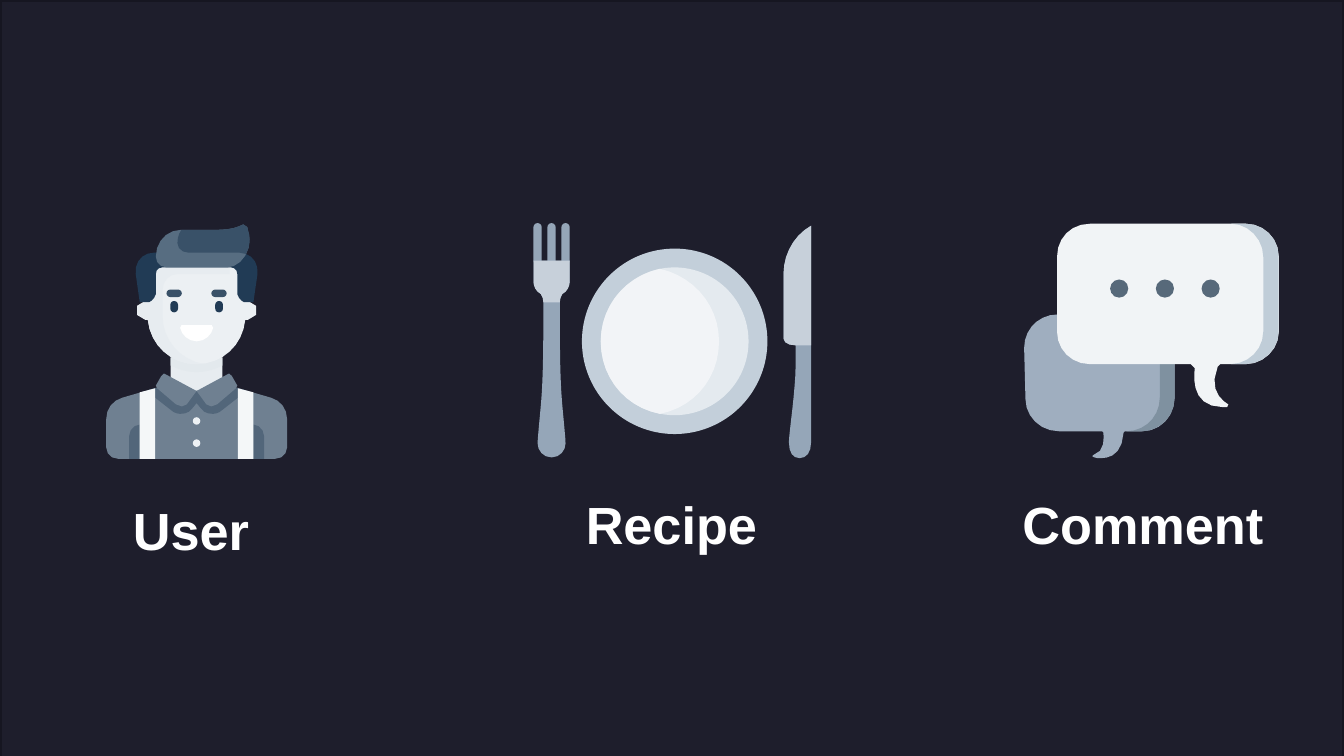
from pptx import Presentation
from pptx.dml.color import RGBColor
from pptx.enum.shapes import MSO_SHAPE as SHAPE
from pptx.enum.text import MSO_ANCHOR as ANCHOR
from pptx.util import Cm, Pt

UNIT = 0.0254
USER_AXIS, FORK_AXIS = 146.3, 410.4


def rgb(color):
    return RGBColor.from_string(color)


def u(value):
    return Cm(value * UNIT)


def add_text(tf, text, size=28, color="FFFFFF", bold=True, font="Arial"):
    r = tf.paragraphs[0].add_run()
    r.text = text
    r.font.size = Pt(size)
    r.font.bold = bold
    r.font.name = font
    r.font.color.rgb = rgb(color)


def curve(path):
    pts = []
    for part in path.split():
        n = [float(v) for v in part[1:].split(",")]
        if part[0] == "C":
            nodes = [pts[-1], n[0:2], n[2:4], n[4:6]]
            span = sum(abs(a - b) for a, b in zip(nodes[0], nodes[3]))
            steps = 1 if span < 3 else 2 + int(span // 10)
            for i in range(1, steps + 1):
                t = i / steps
                w = [(1 - t) ** 3, 3 * t * (1 - t) ** 2, 3 * t * t * (1 - t), t ** 3]
                pts.append([sum(a * q[k] for a, q in zip(w, nodes)) for k in (0, 1)])
        else:
            pts.append(n)
    return pts


def flip(pts, axis):
    return [[2 * axis - x, y] for x, y in reversed(pts)]


class Slide:
    def __init__(self, prs):
        self.s = prs.slides.add_slide(prs.slide_layouts[6])

    def paint(self, sp, color):
        sp.shadow.inherit = False
        sp.fill.solid()
        sp.fill.fore_color.rgb = rgb(color)
        sp.line.fill.background()
        return sp

    def preset(self, kind, x, y, w, h, color, radius=None):
        sp = self.s.shapes.add_shape(kind, u(x), u(y), u(w), u(h))
        if radius is not None:
            sp.adjustments[0] = radius
        return self.paint(sp, color)

    def oval(self, x, y, w, h, color):
        return self.preset(SHAPE.OVAL, x, y, w, h, color)

    def pill(self, x, y, w, h, color):
        return self.preset(SHAPE.ROUNDED_RECTANGLE, x, y, w, h, color, 0.5)

    def outline(self, pts, color):
        pts = [(u(x), u(y)) for x, y in pts]
        fb = self.s.shapes.build_freeform(*pts[0], scale=1.0)
        fb.add_line_segments(pts[1:], close=True)
        return self.paint(fb.convert_to_shape(), color)

    def free(self, path, color):
        return self.outline(curve(path), color)

    def symmetric(self, path, color, axis):
        pts = curve(path)
        return self.outline(pts + flip(pts, axis)[1:-1], color)

    def pair(self, path, color, axis):
        pts = curve(path)
        self.outline(pts, color)
        self.outline(flip(pts, axis), color)

    def label(self, text, x, y, w):
        tf = self.s.shapes.add_textbox(u(x), u(y), u(w), u(90)).text_frame
        tf.word_wrap = True
        tf.vertical_anchor = ANCHOR.MIDDLE
        tf.margin_left = tf.margin_right = tf.margin_top = tf.margin_bottom = u(10)
        add_text(tf, text)


def draw_user(s):
    ax = USER_AXIS
    s.symmetric("M146.3,266 L127,266 L127,288 L146.3,300", "E7ECF0", ax)
    s.symmetric("M146.3,291 L122,287 L91,296 C84,298,79,304,79,312 L79,333 "
                "C79,338,83,341.5,88,341.5 L146.3,341.5", "6F8091", ax)
    s.symmetric("M146.3,291 L122,287 L111,290 L113,294 L127,305 "
                "C129,307,132,308,134,308 C138,308,141,307,143,304 L146.3,300", "52667A", ax)
    s.symmetric("M146.3,266 L127,266 L127,272 C133,275,139,277,146.3,277", "E3E9ED", ax)
    s.symmetric("M146.3,193 L110,193 L110,224 L108,224 C99,224,99,238,108,238 L110,238 "
                "C112,257,127,271,146.3,271", "ECF0F3", ax)
    s.free("M110,193 L110,224 L109,224 C99,224,99,238,109,238 "
           "L110,238 C112,257,128,271,146,271 L152,271 C134,268,121,253,121,235 L121,216 "
           "C121,209,126,204,132,204 L171,204 L171,193", "E7ECF0")
    s.pair("M122,278 L120,280 L116,287 L117,289 L131,301 "
           "C134,303,137,303,139,301 L146.3,291 L124,279", "6F8091", ax)
    for side in (-1, 1):
        s.pill(ax + side * 16.7 - 2.9, 224, 5.8, 8.5, "213B55")
        s.pill(ax + side * 16.7 - 5.7, 215.5, 11.4, 5.6, "395168")
    s.symmetric("M146.3,242 L135,242 L134,244 C135,249,140,254,146.3,254", "FFFFFF", ax)
    for y in (310.5, 327):
        s.oval(ax - 2.8, y, 5.6, 5.6, "EDF1F4")
    s.symmetric("M146.3,188 L115,188 C106,188,100,195,101,204 L104,225 L111,225 "
                "C113,224,115,222,116,219 L116,204 C116,201,118,199,121,199 L146.3,199",
                "213B55", ax)
    s.free("M181,167 C177,169,172,171,163,171 L135,171 C124,171,116,180,116,191 "
           "C116,195,119,199,124,199 L169,199 C179,199,190,186,184,169", "576D81")
    s.pair("M104,316 C100,316,96,320,96,325 L96,341.5 L104,341.5", "52667A", ax)
    s.pair("M115.5,289 L104,292 L104,341.5 L115.5,341.5", "F4F7F8", ax)
    s.free("M181,167 C177,169,172,171,163,171 L135,171 C133,174,132,177,132,181 "
           "C132,185,136,188,140,188 L178,188 L183,189 C186,184,187,177,184,169", "395168")


def draw_recipe(s):
    for i in range(3):
        s.pill(FORK_AXIS - 13.5 + i * 10.4, 166, 6.2, 31, "95A6B8")
    for inset, color in ((0, "C3CFDA"), (14, "E4EAEF")):
        s.oval(433 + inset, 185 + inset, 138 - 2 * inset, 138 - 2 * inset, color)
    s.free("M491,200 C517,206,535,228,535,254 C535,281,517,303,491,308 "
           "C465,303,447,281,447,254 C447,228,465,206,491,200", "F2F4F7")
    blade = "M603.5,168 C591,175,583,189,583,204 L583,252 C583,255,587,257,592,257 "
    s.free(blade + "L592,272 C592,290,587,323,587,329 C587,337,590,341,595,341 "
           "C600,341,603.5,337,603.5,329", "95A6B8")
    s.free(blade + "L603.5,257", "C7D0DA")
    head = ("M410.4,194 L397,194 L397,210 C397,212,398,215,400,217 "
            "C403,218,404.3,222,404.3,225 ")
    s.symmetric(head + "L404.3,248 C404,268,404,287,402,306 C401,317,400,327,400,330 "
                "C400,335,404,340.4,410.4,340.4", "95A6B8", FORK_AXIS)
    s.symmetric(head + "L410.4,225", "C7D0DA", FORK_AXIS)


def draw_comment(s):
    s.free("M849,234 L787,234 C773,234,762,245,762,259 L763,297 C763,310,774,321,788,321 "
           "L820,321 L821,322 C821,325,823,336,813,339 L813,340 "
           "C815,341,817,341,819,341 C826,341,835,338,836,322 L837,321 L850,321 "
           "C863,321,874,310,874,296 L874,258 C874,245,863,234,849,234", "9FAEBF")
    s.free("M838,234 C852,234,863,245,863,259 L863,296 C863,310,852,321,838,321 L849,321 "
           "C863,321,874,310,874,296 L874,259 C874,245,863,234,849,234", "7F91A0")
    s.free("M811,166.5 C797,166.5,786.5,177,786.5,191 L786.5,247 C786.5,260,797,271,811,271 "
           "L886,271 L889,274 C888,282,887,303,910,303 L913,303 L914,301 "
           "C909,298,899,290,906,273 L908,271 L927,271 "
           "C940,271,951.5,260,951.5,247 L951.5,191 C951.5,177,940,166.5,927,166.5", "F1F4F6")
    s.free("M916,166.5 C929,166.5,940,178,940,191 L940,247 C940,260,929,271,916,271 L927,271 "
           "C940,271,951.5,260,951.5,247 L951.5,191 C951.5,177,940,166.5,927,166.5", "C0CDD8")
    for i in range(3):
        s.oval(826 + i * 34, 208, 13.5, 13.5, "57697A")


prs = Presentation()
prs.slide_width, prs.slide_height = Cm(25.4), Cm(14.29)
s = Slide(prs)
backdrop = s.preset(SHAPE.RECTANGLE, 0, 0, 1000, 574, "1E1E2C")
backdrop.line.color.rgb = rgb("161621")
backdrop.line.width = Pt(2)
draw_user(s)
draw_recipe(s)
draw_comment(s)
for text, x, y, w in (("User", 89, 349, 114), ("Recipe", 426, 345, 149), ("Comment", 751, 345, 204)):
    s.label(text, x, y, w)
prs.save("out.pptx")
